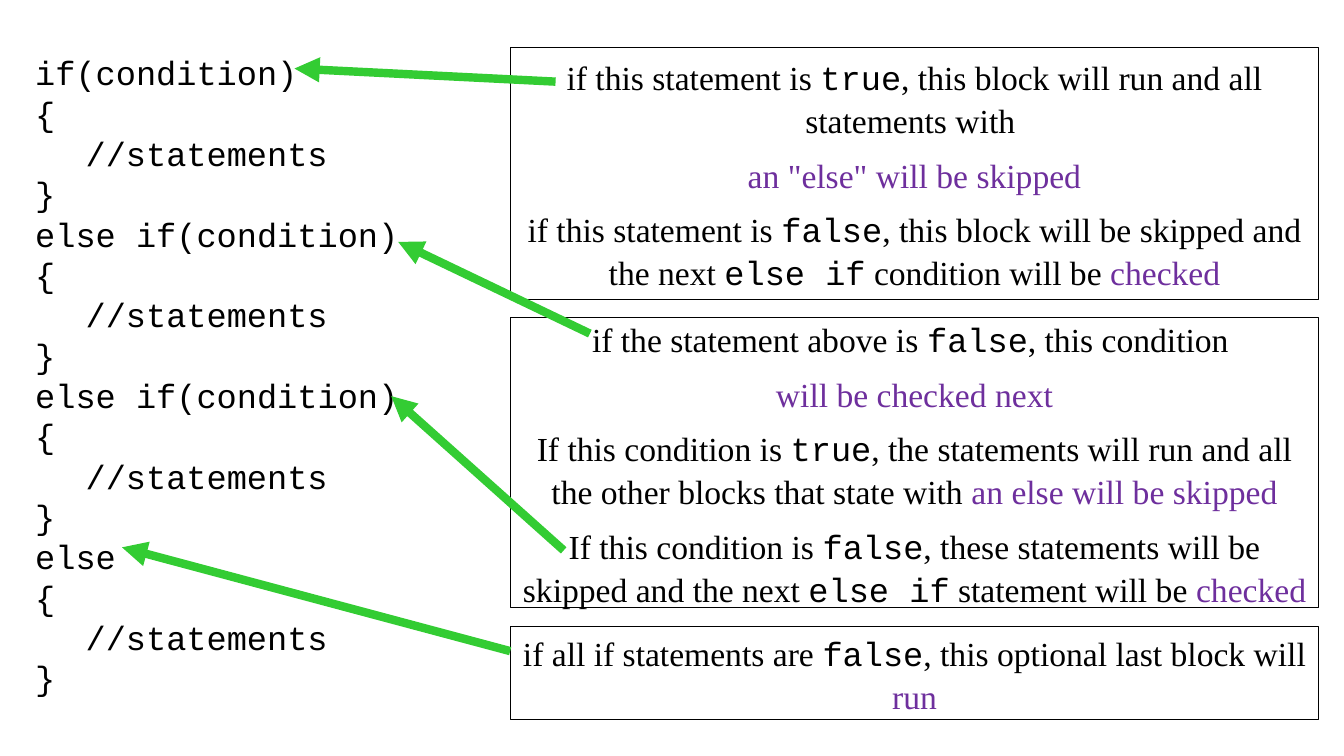
from lxml import etree
from pptx import Presentation
from pptx.dml.color import RGBColor
from pptx.enum.shapes import MSO_CONNECTOR, MSO_SHAPE
from pptx.enum.text import MSO_ANCHOR, PP_ALIGN
from pptx.oxml.ns import qn
from pptx.util import Inches, Pt

RECTANGLE = MSO_SHAPE.RECTANGLE
STRAIGHT = MSO_CONNECTOR.STRAIGHT
MIDDLE = MSO_ANCHOR.MIDDLE
LEFT, CENTER = PP_ALIGN.LEFT, PP_ALIGN.CENTER
BLACK, WHITE, PURPLE, GREEN = "000000", "FFFFFF", "6E2F9D", "33CC33"
CODE_FONT, PROSE_FONT = "Courier New", "Times New Roman"

presentation = Presentation()
presentation.slide_width = Inches(13.33)
presentation.slide_height = Inches(7.5)
slide = presentation.slides.add_slide(presentation.slide_layouts[6])

# Grid: one column or row is a hundredth of the slide
COLUMN = presentation.slide_width / 100
ROW = presentation.slide_height / 100
TOP = 6.27


def color(hex_text):
    return RGBColor.from_string(hex_text)


def write(paragraph, text, ending="", font=PROSE_FONT, align=CENTER, spacing=1.07, after=8):
    """Write text with `code` in backticks, then a purple ending."""
    paragraph.alignment = align
    paragraph.line_spacing = spacing
    paragraph.space_after = Pt(after)
    pieces = [(piece, CODE_FONT if index % 2 else font, BLACK)
              for index, piece in enumerate(text.split("`"))]
    pieces.append((ending, font, PURPLE))
    for piece, name, ink in pieces:
        if piece:
            run = paragraph.add_run()
            run.text = piece
            run.font.name = name
            run.font.size = Pt(24)
            run.font.color.rgb = color(ink)


# Code on the left
code_lines = []
for header in ("if(condition)", "else if(condition)", "else if(condition)", "else"):
    code_lines += [header, "{", "\t//statements", "}"]
code_box = slide.shapes.add_textbox(
    round(1.88 * COLUMN), round(TOP * ROW), round(32.56 * COLUMN), round(87.47 * ROW))
code_frame = code_box.text_frame
code_frame.word_wrap = True
for index, line in enumerate(code_lines):
    paragraph = code_frame.add_paragraph() if index else code_frame.paragraphs[0]
    write(paragraph, line, font=CODE_FONT, align=LEFT, spacing=Pt(28.8), after=0)

# Stacked explanations: height in rows, then (text, purple ending)
explanations = [
    (33.33, [
        ("if this statement is `true`, this block will run and all statements with ", ""),
        ("", 'an "else" will be skipped'),
        ("if this statement is `false`, this block will be skipped and the next "
         "`else if` condition will be ", "checked"),
    ]),
    (38.4, [
        ("if the statement above is `false`, this condition ", ""),
        ("", "will be checked next"),
        ("If this condition is `true`, the statements will run and all the other "
         "blocks that state with ", "an else will be skipped"),
        ("If this condition is `false`, these statements will be skipped and the next "
         "`else if` statement will be ", "checked"),
    ]),
    (12.4, [
        ("if all if statements are `false`, this optional last block will ", "run"),
    ]),
]
box_top = TOP
for height, paragraphs in explanations:
    box = slide.shapes.add_shape(
        RECTANGLE, round(37.96 * COLUMN), round(box_top * ROW),
        round(60.17 * COLUMN), round(height * ROW))
    box.shadow.inherit = False
    box.fill.solid()
    box.fill.fore_color.rgb = color(WHITE)
    box.line.color.rgb = color(BLACK)
    box.line.width = Pt(0.5)
    frame = box.text_frame
    frame.word_wrap = True
    frame.vertical_anchor = MIDDLE
    for index, (text, ending) in enumerate(paragraphs):
        paragraph = frame.add_paragraph() if index else frame.paragraphs[0]
        write(paragraph, text, ending)
    box_top += height + 2.4

# Arrows from the explanations to the code
arrows = [
    (41.34, 10.8, 21.91, 9.07),
    (43.89, 44.13, 29.63, 32),
    (41.94, 72.8, 29.11, 52.4),
    (37.96, 86.13, 9.08, 72.4),
]
for start_x, start_y, end_x, end_y in arrows:
    arrow = slide.shapes.add_connector(
        STRAIGHT, round(start_x * COLUMN), round(start_y * ROW),
        round(end_x * COLUMN), round(end_y * ROW))
    arrow.line.color.rgb = color(GREEN)
    arrow.line.width = Pt(6)
    etree.SubElement(arrow.line._get_or_add_ln(), qn("a:tailEnd"), type="triangle")
    etree.SubElement(arrow._element.spPr, qn("a:effectLst"))

presentation.save("out.pptx")
